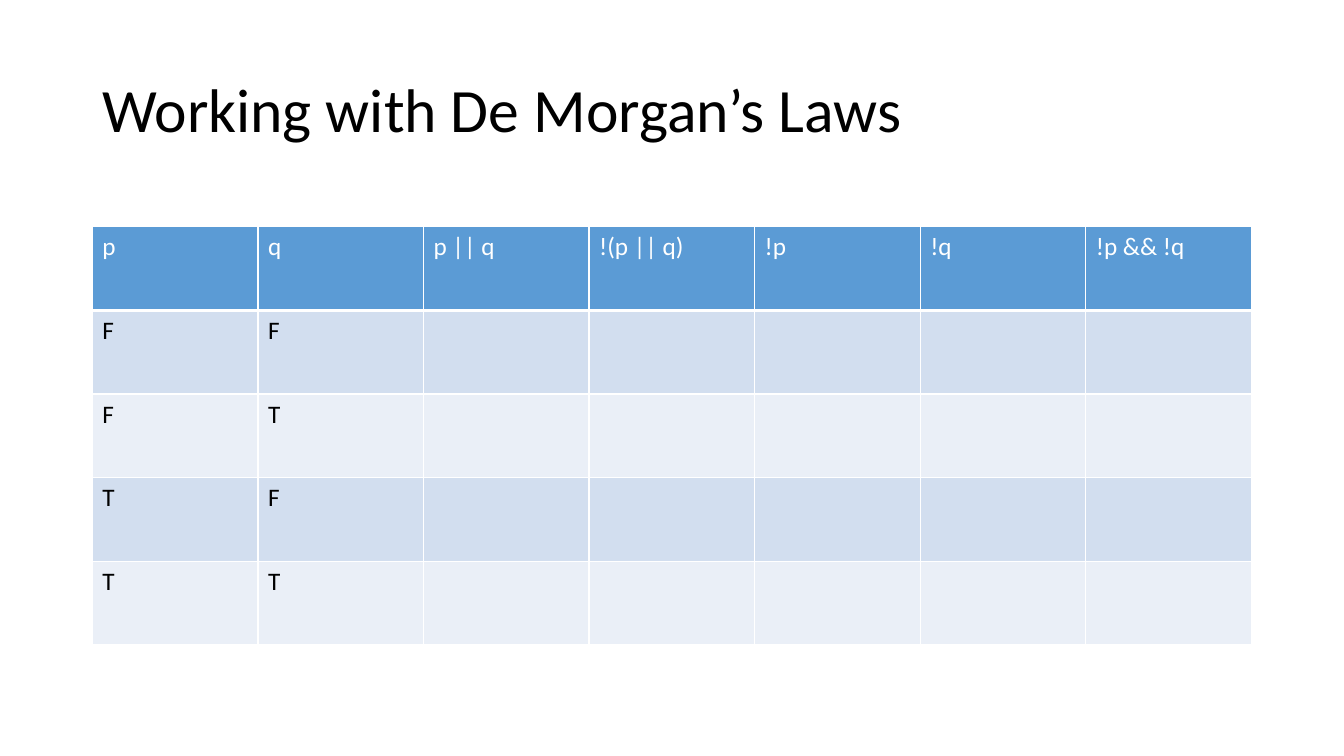
from lxml import etree
from pptx import Presentation
from pptx.dml.color import RGBColor
from pptx.enum.text import MSO_ANCHOR, MSO_AUTO_SIZE, PP_ALIGN
from pptx.oxml.ns import qn
from pptx.util import Pt

LEFT, MIDDLE = PP_ALIGN.LEFT, MSO_ANCHOR.MIDDLE
FIXED = MSO_AUTO_SIZE.NONE
PX = 9525
THEME = {
    "font": "Calibri", "title": 44, "body": 18,
    "ink": "000000", "white": "FFFFFF",
    "head": "5B9BD5", "bands": ("D2DEEF", "EAEFF7"),
}
HEADS = ["p", "q", "p || q", "!(p || q)", "!p", "!q", "!p && !q"]
ROWS = [HEADS] + [[p, q] + [""] * 5 for p in "FT" for q in "FT"]


def style(font, size, tone):
    form = {"name": THEME["font"], "size": Pt(size), "bold": False}
    for key, value in form.items():
        setattr(font, key, value)
    font.color.rgb = RGBColor.from_string(tone)


def border(cell, side, width):
    line = etree.SubElement(cell._tc.get_or_add_tcPr(), qn("a:" + side),
                            w=str(Pt(width)))
    fill = etree.SubElement(line, qn("a:solidFill"))
    etree.SubElement(fill, qn("a:srgbClr"), val=THEME["white"])


# Slide
deck = Presentation()
deck.slide_width, deck.slide_height = 1280 * PX, 720 * PX
slide = deck.slides.add_slide(deck.slide_layouts[5])

# Title
title = slide.shapes.title
box = {"left": 88, "top": 38, "width": 1104, "height": 139}
for key, value in box.items():
    setattr(title, key, value * PX)
frame = title.text_frame
frame.text = "Working with De Morgan’s Laws"
frame.auto_size, frame.vertical_anchor = FIXED, MIDDLE
para = frame.paragraphs[0]
para.alignment, para.line_spacing = LEFT, 0.9
style(para.runs[0].font, THEME["title"], THEME["ink"])

# Truth table
table = slide.shapes.add_table(len(ROWS), len(HEADS), 88 * PX, 216 * PX,
                               1104 * PX, 398 * PX).table
for r, row in enumerate(ROWS):
    tone = THEME["ink"] if r else THEME["white"]
    shade = THEME["bands"][(r - 1) % 2] if r else THEME["head"]
    for c, text in enumerate(row):
        cell = table.cell(r, c)
        cell.text = text
        style(cell.text_frame.paragraphs[0].font, THEME["body"], tone)
        for side in ("lnL", "lnR", "lnT", "lnB"):
            border(cell, side, 3 if r == 0 and side == "lnB" else 1)
        cell.fill.solid()
        cell.fill.fore_color.rgb = RGBColor.from_string(shade)

deck.save("out.pptx")
